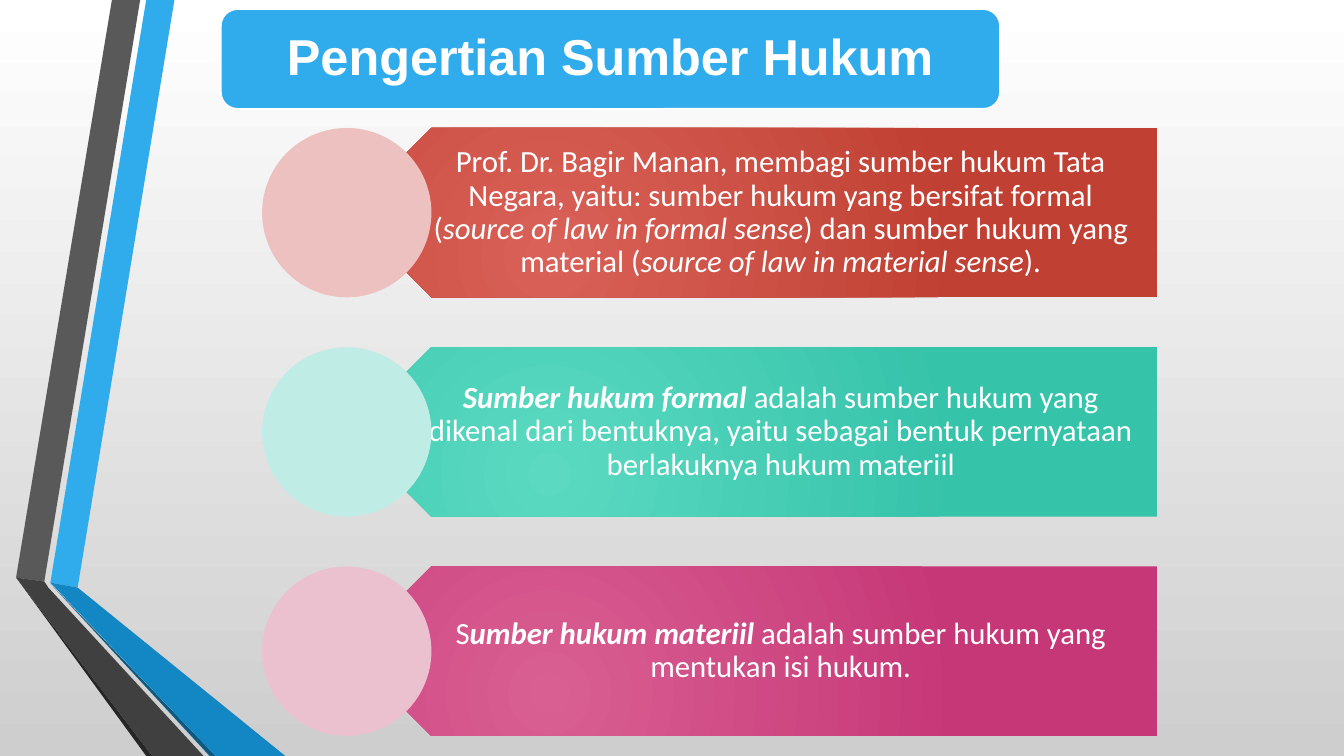
from dataclasses import dataclass
from typing import NamedTuple

from lxml.etree import SubElement
from pptx import Presentation
from pptx.dml.color import RGBColor
from pptx.enum.shapes import MSO_SHAPE
from pptx.enum.text import MSO_ANCHOR, MSO_AUTO_SIZE, PP_ALIGN
from pptx.oxml.ns import qn
from pptx.util import Inches, Pt

WIDTH, HEIGHT = Inches(13.333), Inches(7.5)
WHITE, SKY = "FFFFFF", "30ACEC"


class Box(NamedTuple):
    """Left, top, width and height in percent of the slide."""
    left: float
    top: float
    width: float
    height: float

    def lengths(self) -> tuple:
        return across(self.left), down(self.top), across(self.width), down(self.height)


class Run(NamedTuple):
    text: str
    bold: bool = False
    italic: bool = False


@dataclass
class Ribbon:
    color: str
    points: list


@dataclass
class Definition:
    inner: str
    outer: str
    circle: str
    runs: list


TITLE_BOX = Box(16.43, 1.2, 57.98, 13.2)
FIRST_ROW, ROW_STEP, ROW_HEIGHT = 16.93, 29, 22.4
ARROW_LEFT, ARROW_WIDTH = 25.8, 60.3
CIRCLE_LEFT, CIRCLE_WIDTH = 19.5, 12.6

RIBBONS = [
    Ribbon(SKY, [(3.75, 77.07), (5.78, 77.73), (12.98, 0), (10.88, 0)]),
    Ribbon("595959", [(10.43, 0), (8.33, 0), (1.2, 76.4), (3.3, 76.93)]),
    Ribbon("262626", [(1.2, 76.4), (10.88, 100), (11.33, 100)]),
    Ribbon("0C5A82", [(3.75, 77.2), (15.6, 100), (16.05, 100)]),
    Ribbon("1287C3", [(3.75, 77.07), (16.05, 100), (21.23, 100), (5.78, 77.73)]),
    Ribbon("404040", [(15.15, 100), (3.6, 77.73), (3.3, 76.93), (1.2, 76.4), (11.33, 100)]),
]

DEFINITIONS = [
    Definition("D96157", "C04033", "ECC1BF", [
        Run("Prof. Dr. Bagir Manan, membagi sumber hukum Tata Negara, yaitu: "
            "sumber hukum yang bersifat formal ("),
        Run("source of law in formal sense", italic=True),
        Run(") dan sumber hukum yang material ("),
        Run("source of law in material sense", italic=True),
        Run(")."),
    ]),
    Definition("5BD9C1", "35C3AA", "C0ECE6", [
        Run("Sumber hukum formal", bold=True, italic=True),
        Run(" adalah sumber hukum yang dikenal dari bentuknya, yaitu sebagai "
            "bentuk pernyataan berlakuknya hukum materiil"),
    ]),
    Definition("D95F92", "C63777", "ECC1CF", [
        Run("S"),
        Run("umber hukum materiil", bold=True, italic=True),
        Run(" adalah sumber hukum yang mentukan isi hukum."),
    ]),
]


def across(percent: float) -> int:
    return round(WIDTH * percent / 100)


def down(percent: float) -> int:
    return round(HEIGHT * percent / 100)


def color(value: str) -> RGBColor:
    return RGBColor.from_string(value)


def paint(shape, fill: str) -> None:
    shape.shadow.inherit = False
    shape.fill.solid()
    shape.fill.fore_color.rgb = color(fill)
    shape.line.fill.background()


def set_gradient(fill, start: str, end: str) -> None:
    fill.gradient()
    for stop, position, value in zip(fill.gradient_stops, (0, 1), (start, end)):
        stop.position = position
        stop.color.rgb = color(value)


def set_radial(shape, start: str, end: str) -> None:
    set_gradient(shape.fill, start, end)
    gradient = shape._element.spPr.find(qn("a:gradFill"))
    gradient.remove(gradient.find(qn("a:lin")))
    circle = SubElement(gradient, qn("a:path"), path="circle")
    SubElement(circle, qn("a:fillToRect"), l="50000", t="100000", r="100000", b="50000")


def add_preset(slide, preset: MSO_SHAPE, box: Box, fill: str):
    shape = slide.shapes.add_shape(preset, *box.lengths())
    paint(shape, fill)
    return shape


def add_ribbon(slide, ribbon: Ribbon) -> None:
    start, *others = [(across(x), down(y)) for x, y in ribbon.points]
    builder = slide.shapes.build_freeform(*start)
    builder.add_line_segments(others, close=True)
    paint(builder.convert_to_shape(), ribbon.color)


def write(shape, runs: list, *, font: str, size: float, insets: tuple) -> None:
    frame = shape.text_frame
    frame.word_wrap = True
    frame.auto_size = MSO_AUTO_SIZE.NONE
    frame.vertical_anchor = MSO_ANCHOR.MIDDLE
    (frame.margin_left, frame.margin_top,
     frame.margin_right, frame.margin_bottom) = map(Inches, insets)
    paragraph = frame.paragraphs[0]
    paragraph.alignment = PP_ALIGN.CENTER
    paragraph.line_spacing = 0.9
    paragraph.space_before = Pt(0)
    for part in runs:
        run = paragraph.add_run()
        run.text = part.text
        run.font.name, run.font.size = font, Pt(size)
        run.font.bold, run.font.italic = part.bold, part.italic
        run.font.color.rgb = color(WHITE)


def add_title(slide) -> None:
    panel = add_preset(slide, MSO_SHAPE.ROUNDED_RECTANGLE, TITLE_BOX, SKY)
    panel.line.color.rgb = color(WHITE)
    panel.line.width = Pt(1.25)
    title = slide.shapes.title
    title.left, title.top, title.width, title.height = TITLE_BOX.lengths()
    write(title, [Run("Pengertian Sumber Hukum", bold=True)],
          font="Arial", size=36, insets=(0.15,) * 4)
    # Bring the title in front of its panel
    slide.shapes._spTree.append(title._element)


def add_definition(slide, definition: Definition, row: int) -> None:
    top = FIRST_ROW + row * ROW_STEP
    arrow_box = Box(ARROW_LEFT, top, ARROW_WIDTH, ROW_HEIGHT)
    arrow = add_preset(slide, MSO_SHAPE.PENTAGON, arrow_box, definition.outer)
    arrow.rotation = 180
    set_radial(arrow, definition.inner, definition.outer)
    label = slide.shapes.add_textbox(*arrow_box.lengths())
    write(label, definition.runs, font="Calibri", size=22, insets=(0.74, 0.09, 0.17, 0.09))
    circle_box = Box(CIRCLE_LEFT, top, CIRCLE_WIDTH, ROW_HEIGHT)
    add_preset(slide, MSO_SHAPE.OVAL, circle_box, definition.circle)


def main() -> None:
    presentation = Presentation()
    presentation.slide_width, presentation.slide_height = WIDTH, HEIGHT
    slide = presentation.slides.add_slide(presentation.slide_layouts[5])

    # Background, light at the top
    background = slide.background.fill
    set_gradient(background, WHITE, "CECECE")
    background.gradient_angle = 270

    # Folded ribbons on the left
    for ribbon in RIBBONS:
        add_ribbon(slide, ribbon)

    # Title and the three definitions
    add_title(slide)
    for row, definition in enumerate(DEFINITIONS):
        add_definition(slide, definition, row)

    presentation.save("out.pptx")


if __name__ == "__main__":
    main()
